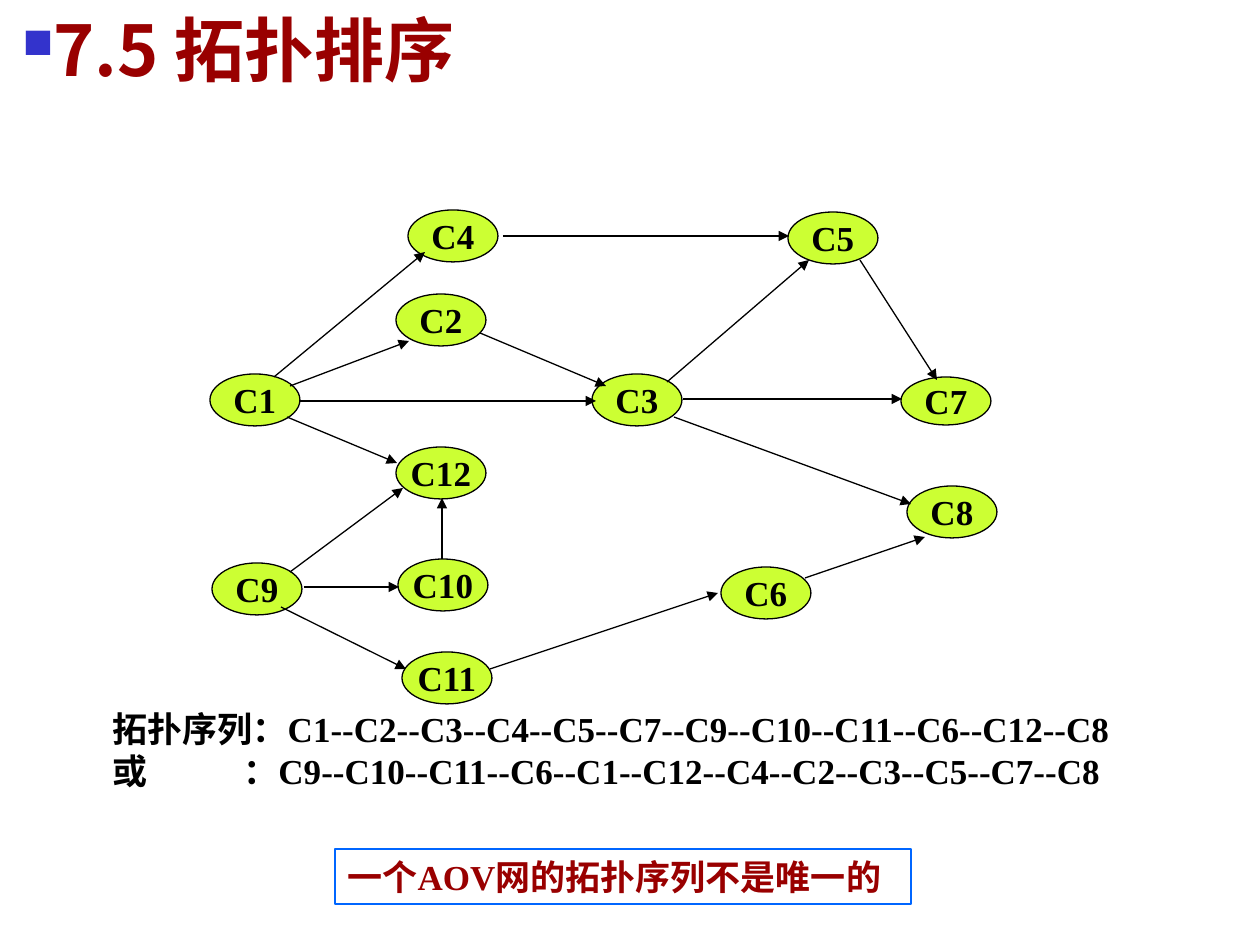
"""Build the topological sorting slide with its AOV network."""
from pptx import Presentation, util as u
from pptx.dml.color import RGBColor
from pptx.enum import shapes, text
from pptx.oxml.ns import qn
from lxml import etree

SCALE = 914400 / 126
COLOURS = {"red": "990000", "black": "000000", "lime": "CCFF33",
           "frame": "0066FF", "bullet": "3333CC"}
LATIN, CJK = "Times New Roman", "Noto Sans CJK SC"
TITLE = "7.5 拓扑排序"
SEQUENCES = ["拓扑序列：C1--C2--C3--C4--C5--C7--C9--C10--C11--C6--C12--C8",
             "或\t：C9--C10--C11--C6--C1--C12--C4--C2--C3--C5--C7--C8"]
REMARK = "一个AOV网的拓扑序列不是唯一的"
NODE_WIDTH, NODE_HEIGHT = 90, 52
NODES = {"C1": (210, 374), "C2": (396, 294), "C3": (592, 374),
         "C4": (408, 210), "C5": (788, 212), "C6": (721, 567),
         "C7": (901, 377), "C8": (907, 486), "C9": (212, 563),
         "C10": (398, 559), "C11": (402, 652), "C12": (396, 447)}
HEIGHTS = {"C7": 48}
ARROWS = [
    (300, 401, 596, 401), (290, 386, 409, 341), (480, 333, 606, 386),
    (274, 377, 425, 252), (503, 236, 789, 236), (667, 382, 809, 260),
    (683, 399, 902, 399), (860, 260, 937, 380), (287, 417, 397, 463),
    (290, 572, 403, 488), (304, 587, 399, 587), (442, 559, 442, 498),
    (281, 607, 406, 669), (490, 669, 718, 593), (805, 578, 925, 537),
    (674, 417, 911, 504),
]


def px(*values):
    return [u.Emu(round(value * SCALE)) for value in values]


def rgb(name):
    return RGBColor.from_string(COLOURS[name])


def write(box, lines, size=20, font=LATIN, colour="black", align="LEFT", anchor="TOP"):
    frame = box.text_frame
    frame.word_wrap = False
    frame.auto_size = text.MSO_AUTO_SIZE.NONE
    frame.vertical_anchor = text.MSO_ANCHOR[anchor]
    for index, line in enumerate(lines):
        para = frame.add_paragraph() if index else frame.paragraphs[0]
        para.alignment = text.PP_ALIGN[align]
        span = para.add_run()
        span.text = line
        span.font.size, span.font.bold, span.font.name = u.Pt(size), True, font
        span.font.color.rgb = rgb(colour)
        etree.SubElement(span.font._element, qn("a:ea"), typeface=CJK)
    return frame.paragraphs


def add_box(page, kind, place, line, fill=None):
    box = page.shapes.add_shape(shapes.MSO_SHAPE[kind], *px(*place))
    box.shadow.inherit = False
    box.line.color.rgb, box.line.width = rgb(line), u.Pt(0.75)
    if fill:
        box.fill.solid()
        box.fill.fore_color.rgb = rgb(fill)
    else:
        box.fill.background()
    return box


def add_arrow(page, ends):
    arrow = page.shapes.add_connector(shapes.MSO_CONNECTOR.STRAIGHT, *px(*ends))
    arrow.line.color.rgb, arrow.line.width = rgb("black"), u.Pt(0.75)
    etree.SubElement(arrow.line._get_or_add_ln(), qn("a:tailEnd"), type="triangle")
    etree.SubElement(arrow._element.spPr, qn("a:effectLst"))


def add_bullet(para):
    props = para._p.get_or_add_pPr()
    colour = etree.SubElement(props, qn("a:buClr"))
    etree.SubElement(colour, qn("a:srgbClr"), val=COLOURS["bullet"])
    etree.SubElement(props, qn("a:buSzPct"), val="60000")
    etree.SubElement(props, qn("a:buChar"), char="■")


def add_tab(para, position):
    tabs = etree.SubElement(para._p.get_or_add_pPr(), qn("a:tabLst"))
    etree.SubElement(tabs, qn("a:tab"), pos=str(px(position)[0]), algn="l")


def main():
    deck = Presentation()
    deck.slide_width, deck.slide_height = px(1260, 945)
    page = deck.slides.add_slide(deck.slide_layouts[5])

    title = page.shapes.title
    title.left, title.top, title.width, title.height = px(-8, 0, 493, 97)
    heading = write(title, [TITLE], size=40, font=CJK, colour="red",
                    align="CENTER", anchor="MIDDLE")
    add_bullet(heading[0])

    sequences = page.shapes.add_textbox(*px(100, 701, 1032, 97))
    add_tab(write(sequences, SEQUENCES)[1], 131)
    remark = add_box(page, "RECTANGLE", (335, 849, 576, 55), "frame")
    write(remark, [REMARK], colour="red")

    for name, (left, top) in NODES.items():
        place = (left, top, NODE_WIDTH, HEIGHTS.get(name, NODE_HEIGHT))
        node = add_box(page, "OVAL", place, "black", "lime")
        write(node, [name], align="CENTER", anchor="MIDDLE")
    for ends in ARROWS:
        add_arrow(page, ends)
    deck.save("out.pptx")


if __name__ == "__main__":
    main()
